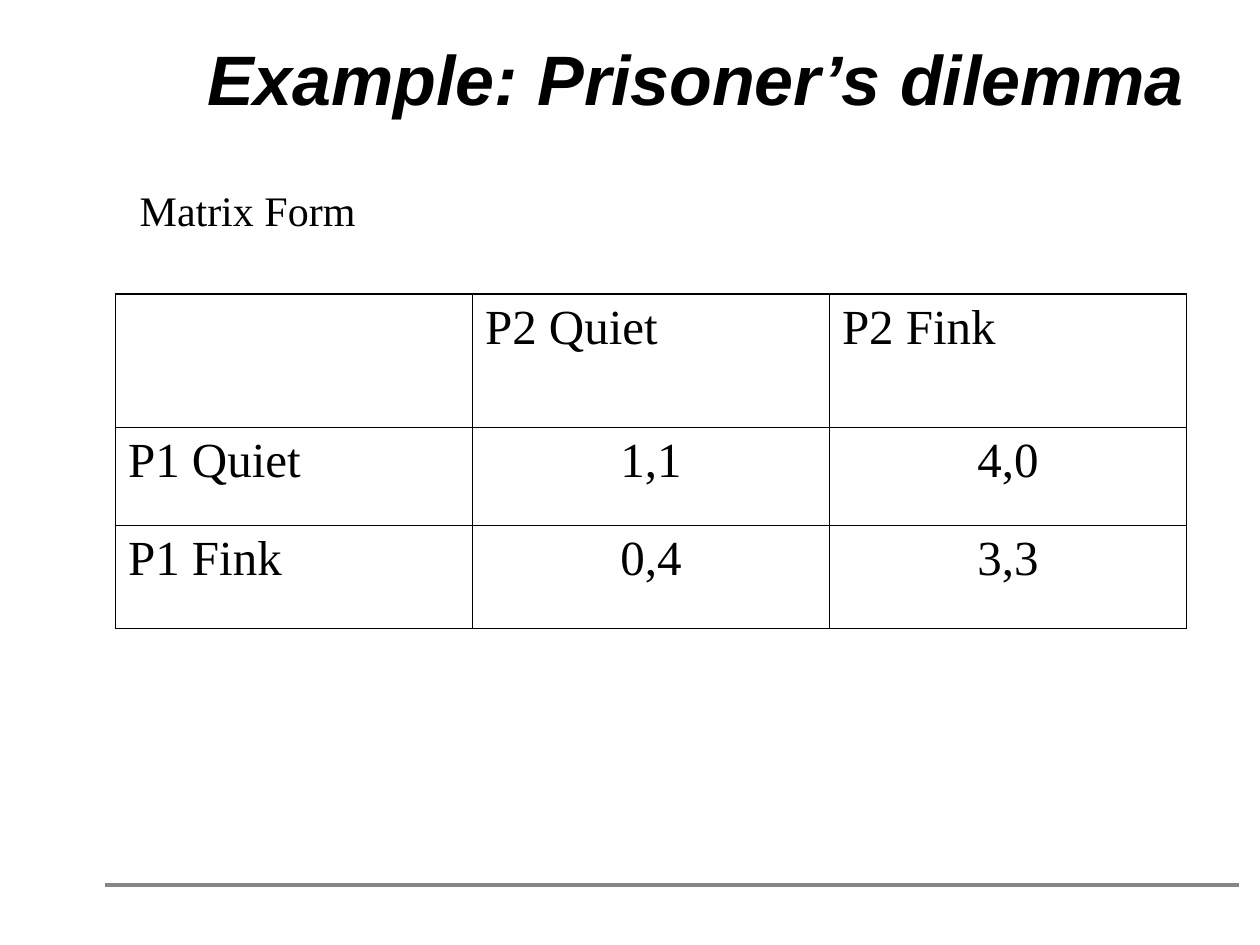
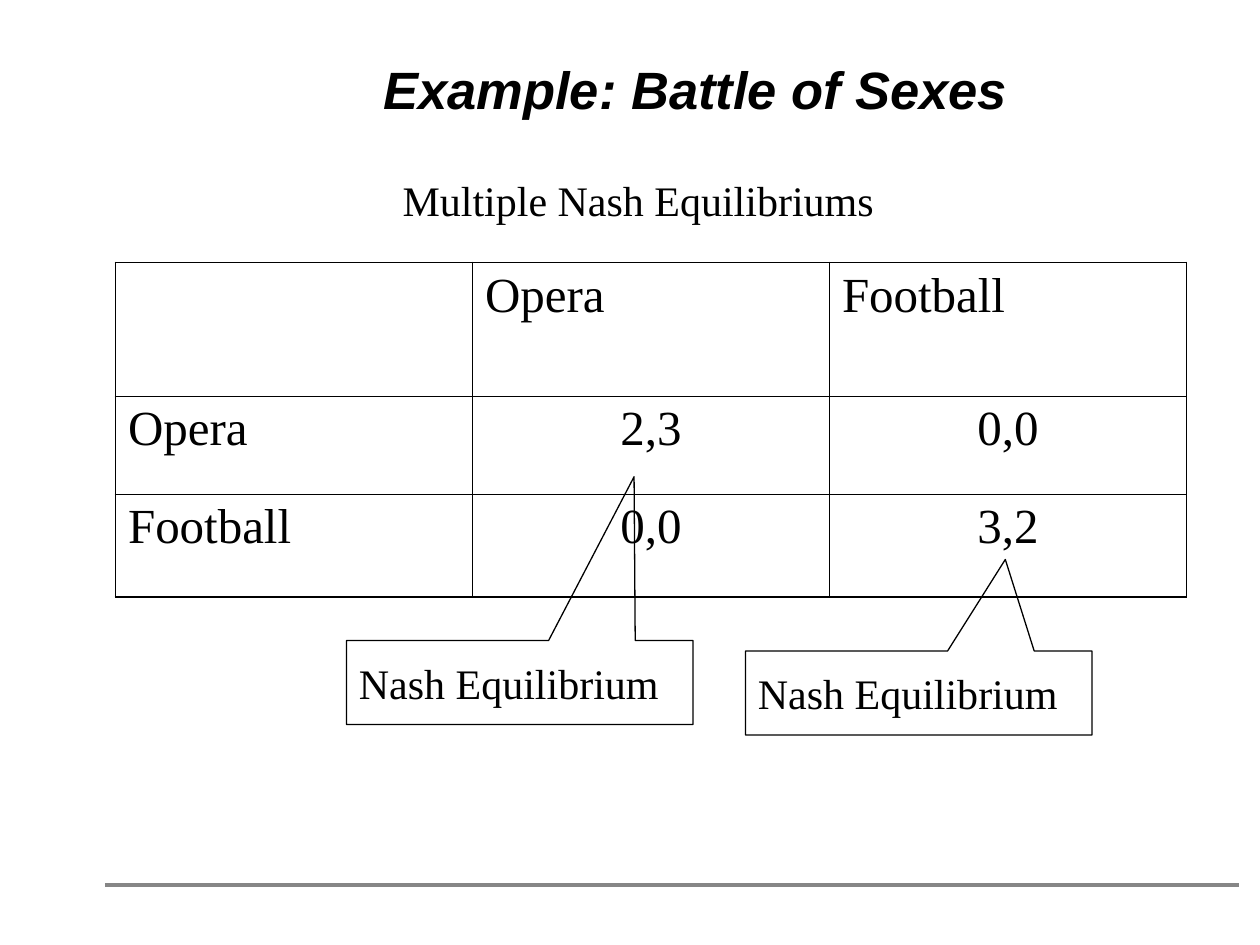
from lxml.etree import SubElement as sub
from pptx import Presentation
from pptx.dml.color import RGBColor
from pptx.enum.shapes import MSO_CONNECTOR as Conn, MSO_SHAPE as Shape
from pptx.enum.text import MSO_ANCHOR as Anchor, MSO_AUTO_SIZE as Auto, PP_ALIGN as Align
from pptx.oxml.ns import qn
from pptx.util import Pt

# Content: boxes are left, top, width, height in points
GAMES = [
    {
        "title": "Example: Prisoner’s dilemma", "size": 40,
        "note": "Matrix Form", "place": (72.75, 102, 137.5, 36),
        "top": 168,
        "matrix": [("", "P2 Quiet", "P2 Fink"),
                   ("P1 Quiet", "1,1", "4,0"),
                   ("P1 Fink", "0,4", "3,3")],
        "calls": [],
    },
    {
        "title": "Example: Battle of Sexes", "size": 30,
        "note": "Multiple Nash Equilibriums", "place": (223, 96, 283.5, 36),
        "top": 150,
        "matrix": [("", "Opera", "Football"),
                   ("Opera", "2,3", "0,0"),
                   ("Football", "0,0", "3,2")],
        # left, top, then the tip's offset as a share of the box
        "calls": [("Nash Equilibrium", 198, 366, 0.33, -2.45),
                  ("Nash Equilibrium", 426, 372, 0.25, -1.59)],
    },
]

# Shared style
BLACK = RGBColor(0, 0, 0)
GREY = RGBColor(0x86, 0x86, 0x86)
HEAD, BODY = "Arial", "Times New Roman"
TITLE = (90.75, 16.5, 613.5, 55.5)
LEFT, COL, ROWS = 66, 204, (76.25, 56, 59)
THICK, THIN = 1.08, 0.45
CALL = (198, 48)


def style(para, size, name=BODY, align=Align.LEFT):
    para.alignment = align
    font = para.font
    font.size, font.name = Pt(size), name
    font.color.rgb = BLACK
    return font


def add_text(slide, text, box):
    frame = slide.shapes.add_textbox(*map(Pt, box)).text_frame
    frame.text = text
    return frame


def add_base(slide, title, size):
    # Footer rule
    rule = slide.shapes.add_connector(
        Conn.STRAIGHT, Pt(60), Pt(505.5), Pt(708), Pt(505.5))
    rule.line.color.rgb = GREY
    rule.line.width = Pt(2.25)
    sub(rule._element.spPr, qn("a:effectLst"))
    # Title
    frame = add_text(slide, title, TITLE)
    frame.word_wrap = True
    frame.vertical_anchor = Anchor.BOTTOM
    para = frame.paragraphs[0]
    para.line_spacing = 0.85
    font = style(para, size, HEAD, Align.CENTER)
    font.bold = font.italic = True


def add_note(slide, text, place):
    frame = add_text(slide, text, place)
    frame.word_wrap = False
    frame.auto_size = Auto.SHAPE_TO_FIT_TEXT
    style(frame.paragraphs[0], 24)


def add_edge(cell, side, width):
    line = sub(cell._tc.get_or_add_tcPr(), qn("a:ln" + side), w=str(Pt(width)))
    fill = sub(line, qn("a:solidFill"))
    sub(fill, qn("a:srgbClr"), val=str(BLACK))


def add_matrix(slide, data, top):
    rows, cols = len(data), len(data[0])
    table = slide.shapes.add_table(
        rows, cols, Pt(LEFT), Pt(top), Pt(COL * cols), Pt(sum(ROWS))).table
    table.first_row = table.horz_banding = False
    for col in table.columns:
        col.width = Pt(COL)
    for r, texts in enumerate(data):
        table.rows[r].height = Pt(ROWS[r])
        for c, text in enumerate(texts):
            cell = table.cell(r, c)
            cell.text = text
            align = Align.CENTER if r and c else Align.LEFT
            style(cell.text_frame.paragraphs[0], 28, align=align)
            # Thick outer frame, thin inner lines
            outer = {"L": c == 0, "R": c == cols - 1,
                     "T": r == 0, "B": r == rows - 1}
            for side, edge in outer.items():
                add_edge(cell, side, THICK if edge else THIN)
            cell.fill.background()


def add_call(slide, text, left, top, dx, dy):
    call = slide.shapes.add_shape(
        Shape.RECTANGULAR_CALLOUT, Pt(left), Pt(top), *map(Pt, CALL))
    call.adjustments[0], call.adjustments[1] = dx, dy
    call.shadow.inherit = False
    call.fill.background()
    call.line.color.rgb = BLACK
    call.line.width = Pt(0.75)
    frame = call.text_frame
    frame.text = text
    frame.vertical_anchor = Anchor.MIDDLE
    style(frame.paragraphs[0], 24)


def main():
    deck = Presentation()
    deck.slide_width, deck.slide_height = Pt(720), Pt(540)
    for game in GAMES:
        slide = deck.slides.add_slide(deck.slide_layouts[6])
        add_base(slide, game["title"], game["size"])
        add_matrix(slide, game["matrix"], game["top"])
        for call in game["calls"]:
            add_call(slide, *call)
        add_note(slide, game["note"], game["place"])
    deck.save("out.pptx")


if __name__ == "__main__":
    main()
